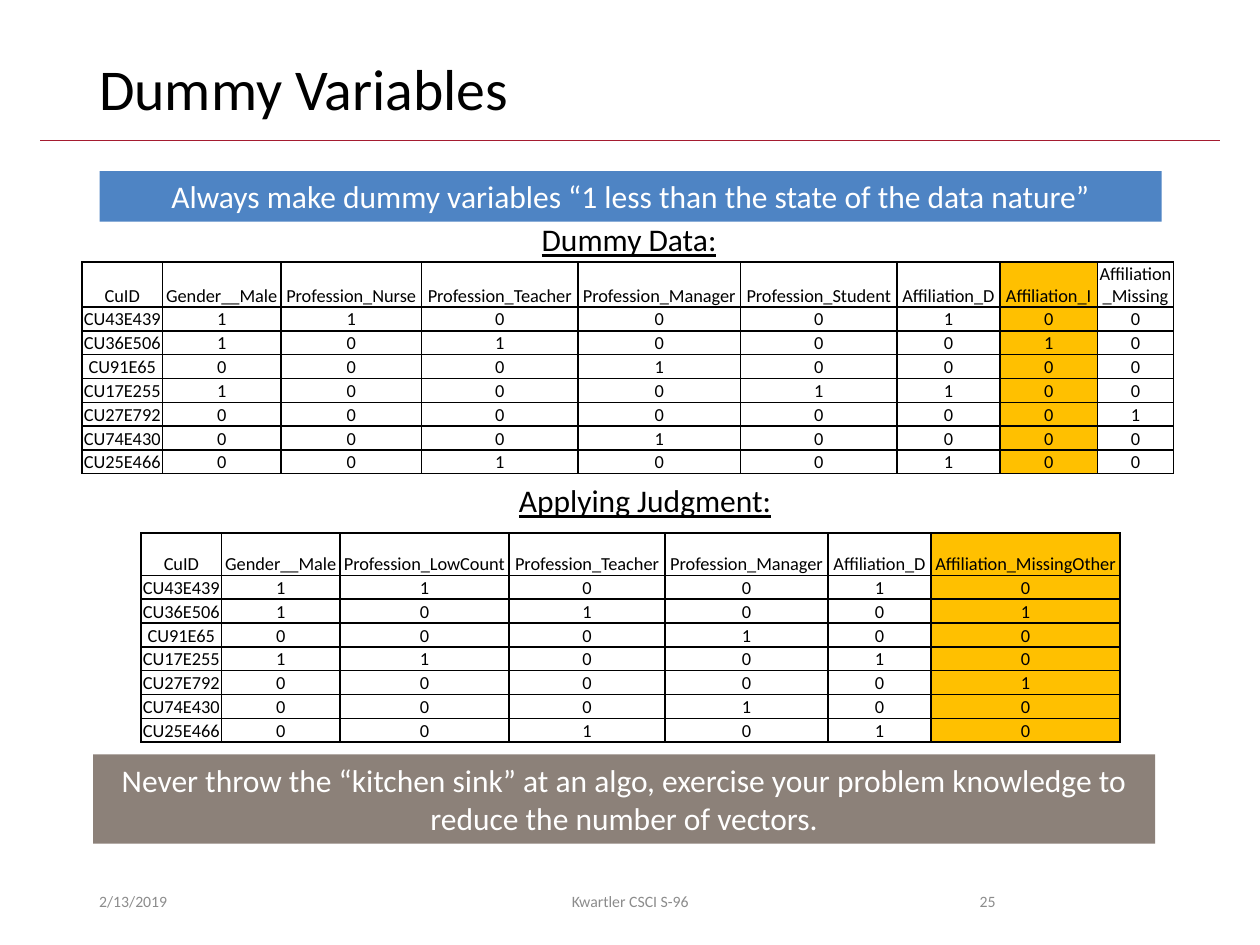
"""Builds the Dummy Variables slide with two encoded data tables."""
from lxml.etree import SubElement
from pptx import Presentation
from pptx.dml.color import RGBColor
from pptx.enum.shapes import MSO_CONNECTOR, MSO_SHAPE
from pptx.enum.text import MSO_ANCHOR as ANCHOR, PP_ALIGN as ALIGN
from pptx.oxml.ns import qn
from pptx.util import Cm, Pt

BLACK = RGBColor(0x00, 0x00, 0x00)
WHITE = RGBColor(0xFF, 0xFF, 0xFF)
GREY = RGBColor(0x8C, 0x8C, 0x8C)
BLUE = RGBColor(0x4E, 0x84, 0xC4)
TAUPE = RGBColor(0x8C, 0x81, 0x79)
CRIMSON = RGBColor(0xA5, 0x1C, 0x30)
GOLD = RGBColor(0xFF, 0xC0, 0x00)

TITLE = "Dummy Variables"
BANNERS = [
    ("Always make dummy variables “1 less than the state of the data nature”",
     (2.01, 3.45, 21.41, 1.02), BLUE),
    ("Never throw the “kitchen sink” at an algo, exercise your problem knowledge "
     "to reduce the number of vectors.", (1.88, 15.21, 21.41, 1.8), TAUPE),
]
HEADINGS = [
    ("Dummy Data:", (10.67, 4.32, 4.09, 1.02)),
    ("Applying Judgment:", (10.21, 9.58, 5.82, 1.02)),
]
FOOTERS = [
    ("2/13/2019", (1.75, 17.65, 5.72, 1.02), ALIGN.LEFT),
    ("25", (17.93, 17.65, 2.39, 1.02), ALIGN.RIGHT),
    ("Kwartler CSCI S-96", (8.41, 17.65, 8.59, 1.02), ALIGN.CENTER),
]

IDS = ["CU43E439", "CU36E506", "CU91E65", "CU17E255",
       "CU27E792", "CU74E430", "CU25E466"]
COL_WIDTHS = {
    "CuID": 1.63, "Gender__Male": 2.38, "Profession_Nurse": 2.84,
    "Profession_LowCount": 3.41, "Profession_Teacher": 3.15,
    "Profession_Manager": 3.28, "Profession_Student": 3.15,
    "Affiliation_D": 2.08, "Affiliation_I": 1.96,
    "Affiliation_Missing": 1.54, "Affiliation_MissingOther": 3.81,
}
TABLES = [
    {"at": (1.65, 5.28), "highlight": "Affiliation_I",
     "columns": ["CuID", "Gender__Male", "Profession_Nurse", "Profession_Teacher",
                 "Profession_Manager", "Profession_Student", "Affiliation_D",
                 "Affiliation_I", "Affiliation_Missing"],
     "flags": ["11000100", "10100010", "00010000", "10001100",
               "00000001", "00010000", "00100100"]},
    {"at": (2.84, 10.74), "highlight": "Affiliation_MissingOther",
     "columns": ["CuID", "Gender__Male", "Profession_LowCount", "Profession_Teacher",
                 "Profession_Manager", "Affiliation_D", "Affiliation_MissingOther"],
     "flags": ["110010", "101001", "000100", "110010",
               "000001", "000100", "001010"]},
]
HEADER_HEIGHT, ROW_HEIGHT = 0.86, 0.48


def write(tf, text, size, color, align=ALIGN.LEFT):
    p = tf.paragraphs[0]
    p.text = text
    p.alignment = align
    p.font.name = "Calibri"
    p.font.size = Pt(size)
    p.font.color.rgb = color
    return p


def add_text(s, text, box, size, color, align=ALIGN.LEFT, anchor=ANCHOR.TOP, wrap=True):
    tf = s.shapes.add_textbox(*map(Cm, box)).text_frame
    tf.word_wrap = wrap
    tf.vertical_anchor = anchor
    return write(tf, text, size, color, align)


def add_banner(s, text, box, color):
    sp = s.shapes.add_shape(MSO_SHAPE.RECTANGLE, *map(Cm, box))
    sp.shadow.inherit = False
    sp.fill.solid()
    sp.fill.fore_color.rgb = color
    sp.line.fill.background()
    sp.text_frame.word_wrap = True
    write(sp.text_frame, text, 18, WHITE, ALIGN.CENTER)


def add_rule(s, x1, x2, y):
    line = s.shapes.add_connector(MSO_CONNECTOR.STRAIGHT, Cm(x1), Cm(y), Cm(x2), Cm(y))
    line.line.color.rgb = CRIMSON
    line.line.width = Pt(0.5)
    SubElement(line._element.spPr, qn("a:effectLst"))


def set_borders(cell):
    tc_pr = cell._tc.get_or_add_tcPr()
    for side in ("a:lnL", "a:lnR", "a:lnT", "a:lnB"):
        ln = SubElement(tc_pr, qn(side), w=str(Pt(1)))
        fill = SubElement(ln, qn("a:solidFill"))
        SubElement(fill, qn("a:srgbClr"), val=str(BLACK))


def fill_cell(cell, text, highlighted):
    cell.margin_left = cell.margin_right = cell.margin_top = Cm(0.02)
    cell.margin_bottom = 0
    cell.vertical_anchor = ANCHOR.BOTTOM
    set_borders(cell)
    if highlighted:
        cell.fill.solid()
        cell.fill.fore_color.rgb = GOLD
    else:
        cell.fill.background()
    write(cell.text_frame, text, 10.5, BLACK, ALIGN.CENTER)


def add_data_table(s, at, highlight, columns, flags):
    rows = [columns] + [[cuid, *values] for cuid, values in zip(IDS, flags)]
    widths = [COL_WIDTHS[name] for name in columns]
    heights = [HEADER_HEIGHT] + [ROW_HEIGHT] * len(IDS)
    size = (sum(widths), sum(heights))
    table = s.shapes.add_table(len(rows), len(columns), *map(Cm, at + size)).table
    table.first_row = table.horz_banding = False
    for column, width in zip(table.columns, widths):
        column.width = Cm(width)
    for r, (values, height) in enumerate(zip(rows, heights)):
        table.rows[r].height = Cm(height)
        for c, value in enumerate(values):
            fill_cell(table.cell(r, c), value, columns[c] == highlight)


def main():
    prs = Presentation()
    prs.slide_width, prs.slide_height = Cm(25.4), Cm(19.05)
    s = prs.slides.add_slide(prs.slide_layouts[6])
    add_rule(s, 0.81, 24.59, 2.84)
    p = add_text(s, TITLE, (1.75, 1.02, 21.9, 1.65), 33, BLACK, anchor=ANCHOR.MIDDLE)
    p.line_spacing = 0.9
    for text, box, align in FOOTERS:
        add_text(s, text, box, 9, GREY, align, ANCHOR.MIDDLE)
    for banner in BANNERS:
        add_banner(s, *banner)
    for text, box in HEADINGS:
        add_text(s, text, box, 18, BLACK, wrap=False).font.underline = True
    for table in TABLES:
        add_data_table(s, **table)
    prs.save("out.pptx")


if __name__ == "__main__":
    main()
